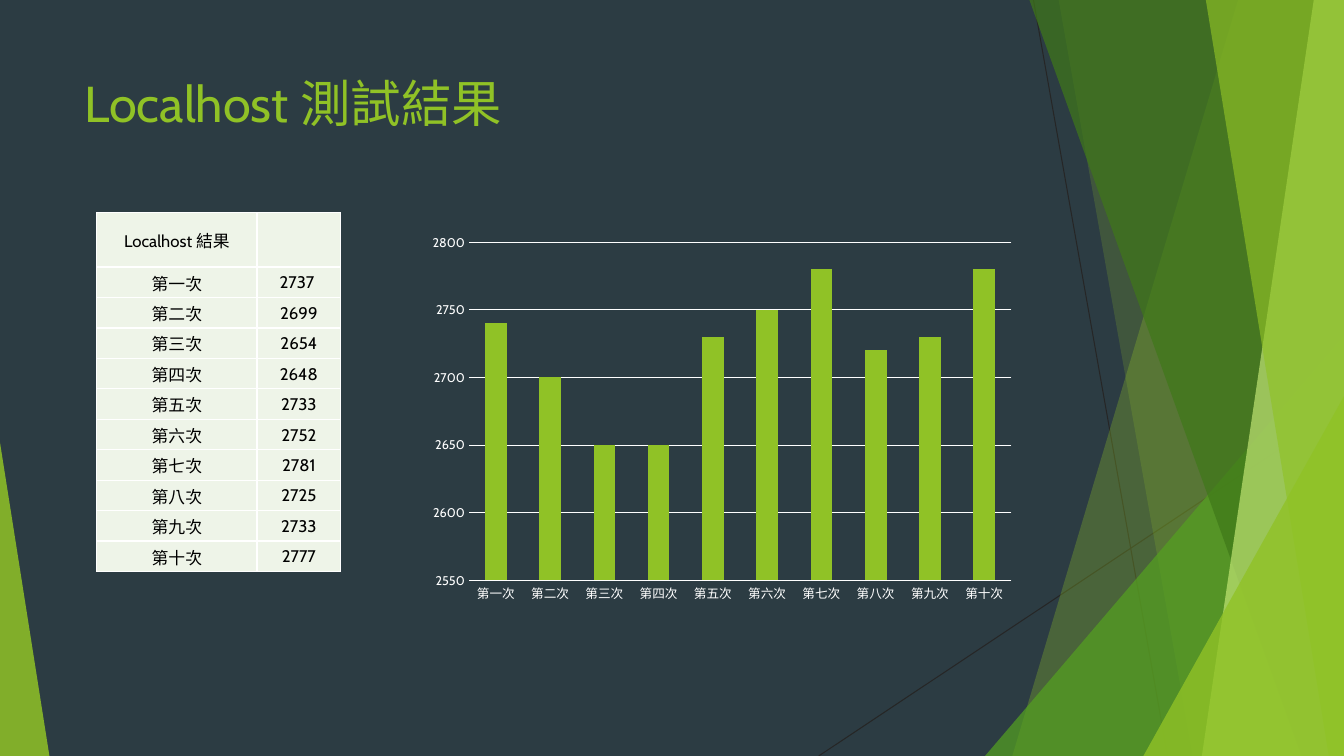
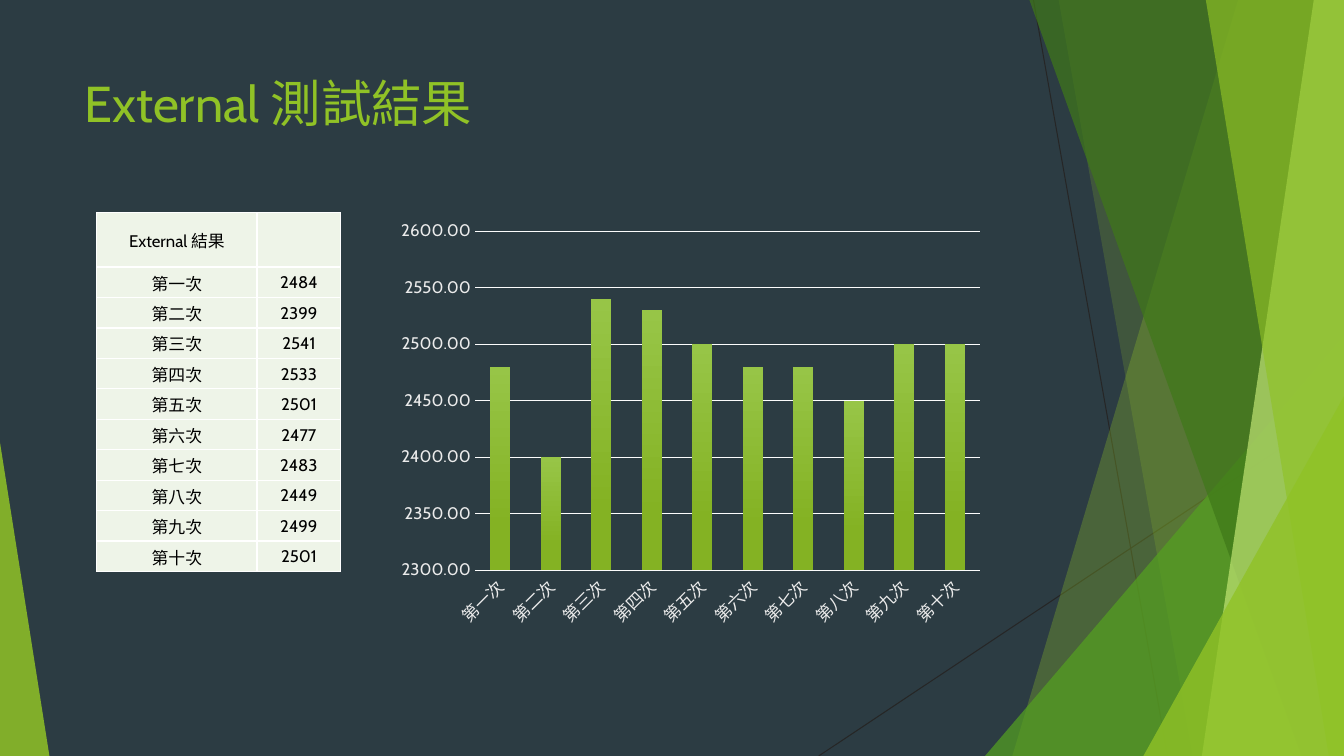
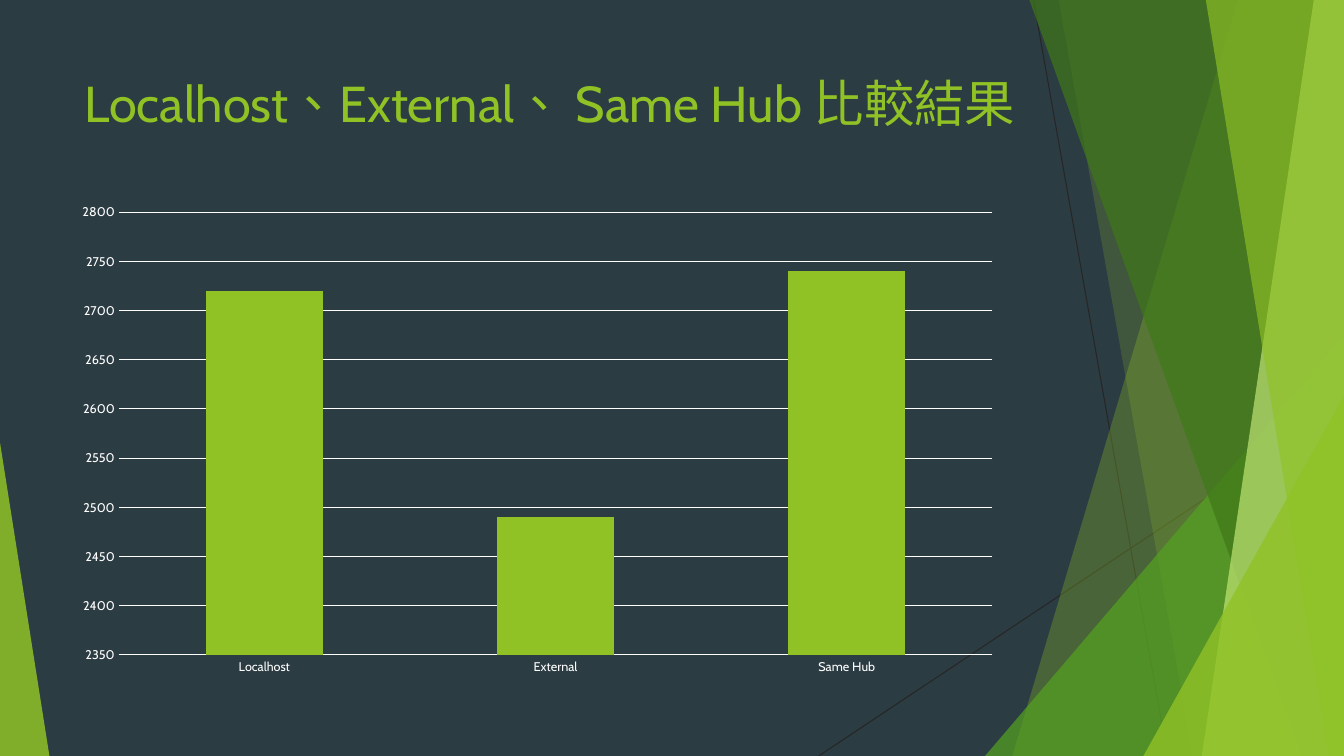
from dataclasses import dataclass

from pptx import Presentation
from pptx.chart.data import CategoryChartData
from pptx.dml.color import RGBColor
from pptx.enum.chart import XL_CHART_TYPE, XL_TICK_MARK
from pptx.enum.lang import MSO_LANGUAGE_ID
from pptx.enum.shapes import MSO_CONNECTOR, MSO_SHAPE
from pptx.enum.text import MSO_ANCHOR, PP_ALIGN
from pptx.oxml.ns import qn
from pptx.util import Inches, Pt
from lxml import etree

COLUMN_STACKED = XL_CHART_TYPE.COLUMN_STACKED
NO_TICK = XL_TICK_MARK.NONE
STRAIGHT = MSO_CONNECTOR.STRAIGHT
TRIANGLE = MSO_SHAPE.ISOSCELES_TRIANGLE
MIDDLE = MSO_ANCHOR.MIDDLE
TOP = MSO_ANCHOR.TOP
CENTER = PP_ALIGN.CENTER
LEFT = PP_ALIGN.LEFT
TRADITIONAL_CHINESE = MSO_LANGUAGE_ID.TRADITIONAL_CHINESE

WIDTH, HEIGHT = 13.33, 7.5
TABLE_HEIGHT, HEADER_HEIGHT = 3.56, 0.54
FONT = "Cabin"
BACKGROUND = "2C3C43"
LIME = "90C226"
GREEN = "54A021"
FOREST = "3F7819"
PALE_LIME = "C0E474"
RAY = "262626"
WHITE = "FFFFFF"
BLACK = "000000"
CELL_FILL = "EEF4E8"


@dataclass(frozen=True)
class Ray:
    start: tuple[float, float]
    end: tuple[float, float]


@dataclass(frozen=True)
class Facet:
    top_left: float
    bottom_left: float
    color: str
    opacity: int


@dataclass(frozen=True)
class Corner:
    left: float
    top: float
    width: float
    apex: float
    color: str
    opacity: int


@dataclass(frozen=True)
class ColumnChart:
    box: tuple[float, float, float, float]
    categories: tuple[str, ...]
    values: tuple[int, ...]
    minimum: int
    maximum: int
    size: int = 9
    text_color: str = WHITE
    line_color: str = WHITE
    number_format: str = "0"
    axis_line: bool = True
    rotation: int = 0
    gradient: tuple[tuple[float, str], ...] = ()


@dataclass(frozen=True)
class ResultSlide:
    title: str
    chart: ColumnChart
    title_width: float = 9.4
    table_header: str = ""
    results: tuple[str, ...] = ()


def rounded(results: tuple[str, ...]) -> tuple[int, ...]:
    return tuple(round(int(result), -1) for result in results)


RAYS = (Ray((10.25, 0), (11.58, HEIGHT)), Ray((WIDTH, 4.03), (8.12, HEIGHT)))
DECORATION = (
    Facet(12.28, 10.04, LIME, 30),
    Facet(10.5, 11.83, LIME, 20),
    Corner(9.77, 3.33, 3.56, 1, GREEN, 72),
    Facet(10.21, 12.91, FOREST, 70),
    Facet(13.03, 11.92, PALE_LIME, 70),
    Facet(11.96, 13.18, LIME, 65),
    Corner(11.34, 3.93, 1.99, 1, LIME, 80),
    Corner(0, 4.39, 0.49, 0, LIME, 85),
)

ROUNDS = tuple(f"第{number}次" for number in "一二三四五六七八九十")
LOCALHOST = ("2737 ", "2699", "2654", "2648", "2733", "2752", "2781", "2725", "2733", "2777")
EXTERNAL = ("2484", "2399", "2541", "2533", "2501", "2477", "2483", "2449", "2499", "2501")

SLIDES = (
    ResultSlide(
        "Localhost 測試結果",
        ColumnChart((4.17, 2.25, 5.98, 3.8), ROUNDS, rounded(LOCALHOST), 2550, 2800,
                    axis_line=False),
        table_header="Localhost 結果",
        results=LOCALHOST,
    ),
    ResultSlide(
        "External 測試結果",
        ColumnChart((3.86, 2.11, 5.98, 4.2), ROUNDS, rounded(EXTERNAL), 2300, 2600,
                    size=12, text_color="EBEBEB", line_color="FCFCFC", number_format="0.00",
                    rotation=-45, gradient=((0, "97C547"), (0.78, "84B223"))),
        table_header="External 結果",
        results=EXTERNAL,
    ),
    ResultSlide(
        "Localhost、External、 Same Hub 比較結果",
        ColumnChart((0.63, 1.93, 9.4, 4.86), ("Localhost", "External", "Same Hub"),
                    (2720, 2490, 2740), 2350, 2800),
        title_width=11.04,
    ),
)


def rgb(color: str) -> RGBColor:
    return RGBColor.from_string(color)


def paint(fill, color: str) -> None:
    fill.solid()
    fill.fore_color.rgb = rgb(color)


def style_font(font, size: float, color: str) -> None:
    font.name = FONT
    font.size = Pt(size)
    font.color.rgb = rgb(color)


def write_text(text_frame, text: str, *, size: float, color: str, align=LEFT) -> None:
    paragraph = text_frame.paragraphs[0]
    paragraph.alignment = align
    run = paragraph.add_run()
    run.text = text
    run.font.language_id = TRADITIONAL_CHINESE
    style_font(run.font, size, color)


def add_ray(slide, ray: Ray) -> None:
    points = [Inches(value) for value in (*ray.start, *ray.end)]
    connector = slide.shapes.add_connector(STRAIGHT, *points)
    connector.line.color.rgb = rgb(RAY)
    connector.line.width = Pt(0.75)
    etree.SubElement(connector.element.spPr, qn("a:effectLst"))


def add_facet(slide, facet: Facet):
    corners = ((WIDTH, 0), (WIDTH, HEIGHT), (facet.bottom_left, HEIGHT))
    builder = slide.shapes.build_freeform(Inches(facet.top_left), 0)
    builder.add_line_segments([(Inches(x), Inches(y)) for x, y in corners], close=True)
    return builder.convert_to_shape()


def add_corner(slide, corner: Corner):
    shape = slide.shapes.add_shape(
        TRIANGLE, Inches(corner.left), Inches(corner.top),
        Inches(corner.width), Inches(HEIGHT - corner.top))
    shape.adjustments[0] = corner.apex
    return shape


def add_decoration(slide) -> None:
    for ray in RAYS:
        add_ray(slide, ray)
    for piece in DECORATION:
        draw = add_facet if isinstance(piece, Facet) else add_corner
        shape = draw(slide, piece)
        shape.shadow.inherit = False
        paint(shape.fill, piece.color)
        color_element = shape.element.spPr.find(f"{qn('a:solidFill')}/{qn('a:srgbClr')}")
        etree.SubElement(color_element, qn("a:alpha"), val=str(piece.opacity * 1000))
        shape.line.fill.background()


def add_title(slide, title: str, width: float) -> None:
    box = slide.shapes.add_textbox(Inches(0.74), Inches(0.67), Inches(width), Inches(1.44))
    box.text_frame.word_wrap = True
    box.text_frame.vertical_anchor = TOP
    write_text(box.text_frame, title, size=36, color=LIME)


def add_borders(cell, color: str, width: float) -> None:
    properties = cell._tc.get_or_add_tcPr()
    for position, side in enumerate(("a:lnL", "a:lnR", "a:lnT", "a:lnB")):
        line = etree.Element(qn(side), w=str(Pt(width)))
        fill = etree.SubElement(line, qn("a:solidFill"))
        etree.SubElement(fill, qn("a:srgbClr"), val=color)
        properties.insert(position, line)


def add_result_table(slide, header: str, results: tuple[str, ...]) -> None:
    rows = [(header, ""), *zip(ROUNDS, results)]
    row_height = (TABLE_HEIGHT - HEADER_HEIGHT) / len(results)
    table = slide.shapes.add_table(
        len(rows), 2, Inches(0.96), Inches(2.11), Inches(2.42), Inches(TABLE_HEIGHT)).table
    for column, width in zip(table.columns, (1.59, 0.83)):
        column.width = Inches(width)
    for row_index, texts in enumerate(rows):
        table.rows[row_index].height = Inches(row_height if row_index else HEADER_HEIGHT)
        for column_index, text in enumerate(texts):
            cell = table.cell(row_index, column_index)
            paint(cell.fill, CELL_FILL)
            add_borders(cell, WHITE, 1)
            cell.vertical_anchor = MIDDLE
            cell.margin_left = cell.margin_right = cell.margin_top = Inches(0.01)
            cell.margin_bottom = 0
            if text:
                write_text(cell.text_frame, text, size=12, color=BLACK, align=CENTER)


def style_line(line, color: str) -> None:
    line.color.rgb = rgb(color)
    line.width = Pt(0.75)


def style_axis(axis, column_chart: ColumnChart, line_visible: bool) -> None:
    axis.major_tick_mark = axis.minor_tick_mark = NO_TICK
    style_font(axis.tick_labels.font, column_chart.size, column_chart.text_color)
    if line_visible:
        style_line(axis.format.line, column_chart.line_color)
    else:
        axis.format.line.fill.background()


def add_column_chart(slide, column_chart: ColumnChart) -> None:
    data = CategoryChartData()
    data.categories = column_chart.categories
    data.add_series("Series 1", column_chart.values)
    box = [Inches(value) for value in column_chart.box]
    chart = slide.shapes.add_chart(COLUMN_STACKED, *box, data).chart
    chart.has_legend = False
    chart.has_title = False
    style_font(chart.font, 10, WHITE)

    style_axis(chart.category_axis, column_chart, column_chart.axis_line)
    if column_chart.rotation:
        label_body = chart.element.find(f".//{qn('c:catAx')}/{qn('c:txPr')}/{qn('a:bodyPr')}")
        label_body.set("rot", str(column_chart.rotation * 60000))

    value_axis = chart.value_axis
    style_axis(value_axis, column_chart, False)
    value_axis.minimum_scale = column_chart.minimum
    value_axis.maximum_scale = column_chart.maximum
    value_axis.major_unit = 50
    value_axis.has_major_gridlines = True
    style_line(value_axis.major_gridlines.format.line, column_chart.line_color)
    value_axis.tick_labels.number_format = column_chart.number_format
    value_axis.tick_labels.number_format_is_linked = False

    plot = chart.plots[0]
    plot.gap_width = 150
    plot.overlap = 100
    plot.vary_by_categories = False
    fill = plot.series[0].format.fill
    if column_chart.gradient:
        fill.gradient()
        fill.gradient_angle = 270
        for stop, (position, color) in zip(fill.gradient_stops, column_chart.gradient):
            stop.position = position
            stop.color.rgb = rgb(color)
    else:
        paint(fill, LIME)


def main() -> None:
    presentation = Presentation()
    presentation.slide_width = Inches(WIDTH)
    presentation.slide_height = Inches(HEIGHT)
    paint(presentation.slide_master.background.fill, BACKGROUND)
    blank_layout = presentation.slide_layouts[6]
    for content in SLIDES:
        slide = presentation.slides.add_slide(blank_layout)
        add_decoration(slide)
        add_title(slide, content.title, content.title_width)
        if content.results:
            add_result_table(slide, content.table_header, content.results)
        add_column_chart(slide, content.chart)
    presentation.save("out.pptx")


if __name__ == "__main__":
    main()
